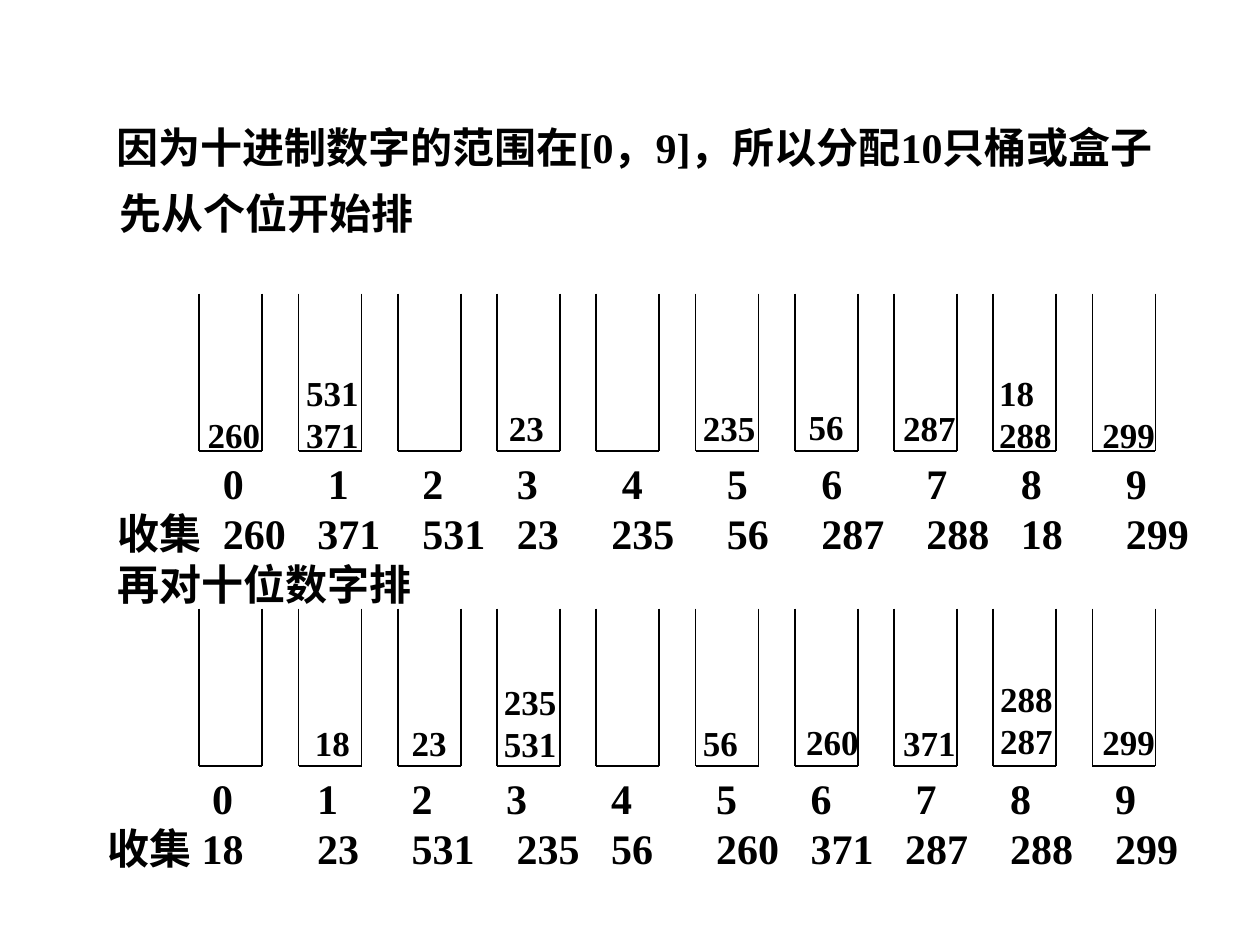
import pptx
import pptx.dml.color
import pptx.enum.shapes
import pptx.enum.text
import pptx.oxml
import pptx.oxml.ns
import pptx.util

Pt = pptx.util.Pt
BLACK = pptx.dml.color.RGBColor(0x00, 0x00, 0x00)
FONT = "Times New Roman"
LARGE, SMALL = 24, 20
TITLE_ONLY = 5

BUCKET_LEFT, BUCKET_STEP = 113.9, 56.71
BUCKET_WIDTH, BUCKET_HEIGHT = 36, 90

# Column starts of the text rows, measured from the start of the text
DIGIT_STOPS = [60, 120, 174, 228, 288, 348, 402, 462, 516, 576]
FIRST_STOPS = [60, 114, 174, 228, 282, 348, 402, 462, 516, 576]
SECOND_STOPS = [54, 120, 174, 234, 288, 348, 402, 456, 516, 576]
DIGIT_ROW = "\t" + "\t".join("0123456789")

# Bucket contents: left, top, numbers from top to bottom
FIRST_PASS = [
    (111.6, 232.6, ["260"]), (167.8, 208.8, ["531", "371"]),
    (283.7, 229, ["23"]), (394.6, 229, ["235"]), (455, 228.2, ["56"]),
    (509, 229, ["287"]), (563.8, 208.8, ["18", "288"]),
    (622.8, 232.6, ["299"]),
]
SECOND_PASS = [
    (172.8, 409, ["18"]), (228.2, 409, ["23"]),
    (280.8, 385.2, ["235", "531"]), (394.6, 409, ["56"]),
    (453.6, 408.2, ["260"]), (509, 409, ["371"]),
    (564.5, 383.8, ["288", "287"]), (622.8, 408.2, ["299"]),
]


class SlideBuilder:
    def __init__(self, slide):
        self.slide = slide

    def fill_text(self, shape, lines, size, wrap=False, stops=()):
        frame = shape.text_frame
        frame.word_wrap = wrap
        frame.auto_size = pptx.enum.text.MSO_AUTO_SIZE.SHAPE_TO_FIT_TEXT
        frame.vertical_anchor = pptx.enum.text.MSO_ANCHOR.TOP
        for index, line in enumerate(lines):
            paragraph = frame.add_paragraph() if index else frame.paragraphs[0]
            paragraph.alignment = pptx.enum.text.PP_ALIGN.LEFT
            paragraph.line_spacing = Pt(size * 1.2)
            if index < len(stops):
                self.set_tabs(paragraph, stops[index])
            run = paragraph.add_run()
            run.text = line
            run.font.name = FONT
            run.font.size = Pt(size)
            run.font.bold = True
            run.font.color.rgb = BLACK

    def set_tabs(self, paragraph, positions):
        properties = paragraph._p.get_or_add_pPr()
        tab_list = pptx.oxml.parse_xml(
            "<a:tabLst %s/>" % pptx.oxml.ns.nsdecls("a"))
        for position in positions:
            tab = tab_list.makeelement(pptx.oxml.ns.qn("a:tab"), {
                "pos": str(int(Pt(position))), "algn": "l"})
            tab_list.append(tab)
        properties.append(tab_list)

    def title(self, left, top, width, text):
        shape = self.slide.shapes.title
        shape.left, shape.top = Pt(left), Pt(top)
        shape.width, shape.height = Pt(width), Pt(36)
        self.fill_text(shape, [text], LARGE)

    def text(self, left, top, width, lines, size, wrap=False, stops=()):
        height = len(lines) * size * 1.2 + 7.2
        shape = self.slide.shapes.add_textbox(
            Pt(left), Pt(top), Pt(width), Pt(height))
        self.fill_text(shape, lines, size, wrap, stops)

    def line(self, x1, y1, x2, y2):
        connector = self.slide.shapes.add_connector(
            pptx.enum.shapes.MSO_CONNECTOR.STRAIGHT,
            Pt(x1), Pt(y1), Pt(x2), Pt(y2))
        connector.line.color.rgb = BLACK
        connector.line.width = Pt(1)
        connector._element.spPr.append(pptx.oxml.parse_xml(
            "<a:effectLst %s/>" % pptx.oxml.ns.nsdecls("a")))

    def buckets(self, top):
        bottom = top + BUCKET_HEIGHT
        for index in range(10):
            left = BUCKET_LEFT + index * BUCKET_STEP
            right = left + BUCKET_WIDTH
            self.line(left, top, left, bottom)
            self.line(right, top, right, bottom)
            self.line(left, bottom, right, bottom)

    def contents(self, items):
        for left, top, numbers in items:
            width = 14.4 + 10 * max(map(len, numbers))
            self.text(left, top, width, numbers, SMALL)


def main():
    presentation = pptx.Presentation()
    presentation.slide_width, presentation.slide_height = Pt(720), Pt(540)
    slide = presentation.slides.add_slide(
        presentation.slide_layouts[TITLE_ONLY])
    builder = SlideBuilder(slide)

    # Introduction, wide enough to stay on one line
    builder.title(59.4, 65.7, 658,
                  "因为十进制数字的范围在[0，9]，所以分配10只桶或盒子")
    builder.text(61.2, 103.7, 182.2, ["先从个位开始排"], LARGE)

    # First pass: units
    builder.text(60.3, 257.8, 640, [
        DIGIT_ROW,
        "收集\t260\t371\t531\t23\t235\t56\t287\t288\t18\t299",
        "再对十位数字排",
    ], LARGE, True, [DIGIT_STOPS, FIRST_STOPS])
    builder.buckets(167.75)
    builder.contents(FIRST_PASS)

    # Second pass: tens
    builder.buckets(347.75)
    builder.text(54.2, 437.8, 640, [
        DIGIT_ROW,
        "收集\t18\t23\t531\t235\t56\t260\t371\t287\t288\t299",
    ], LARGE, True, [DIGIT_STOPS, SECOND_STOPS])
    builder.contents(SECOND_PASS)

    presentation.save("out.pptx")


if __name__ == "__main__":
    main()
